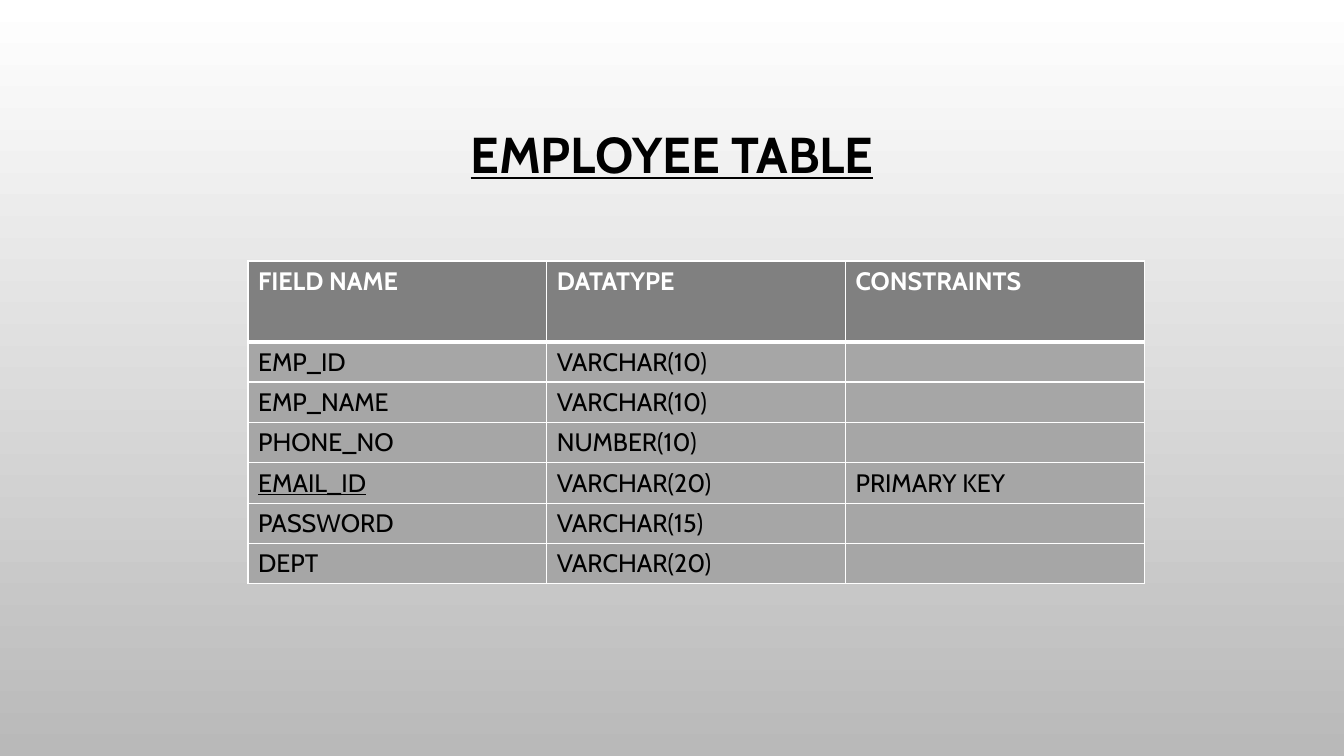
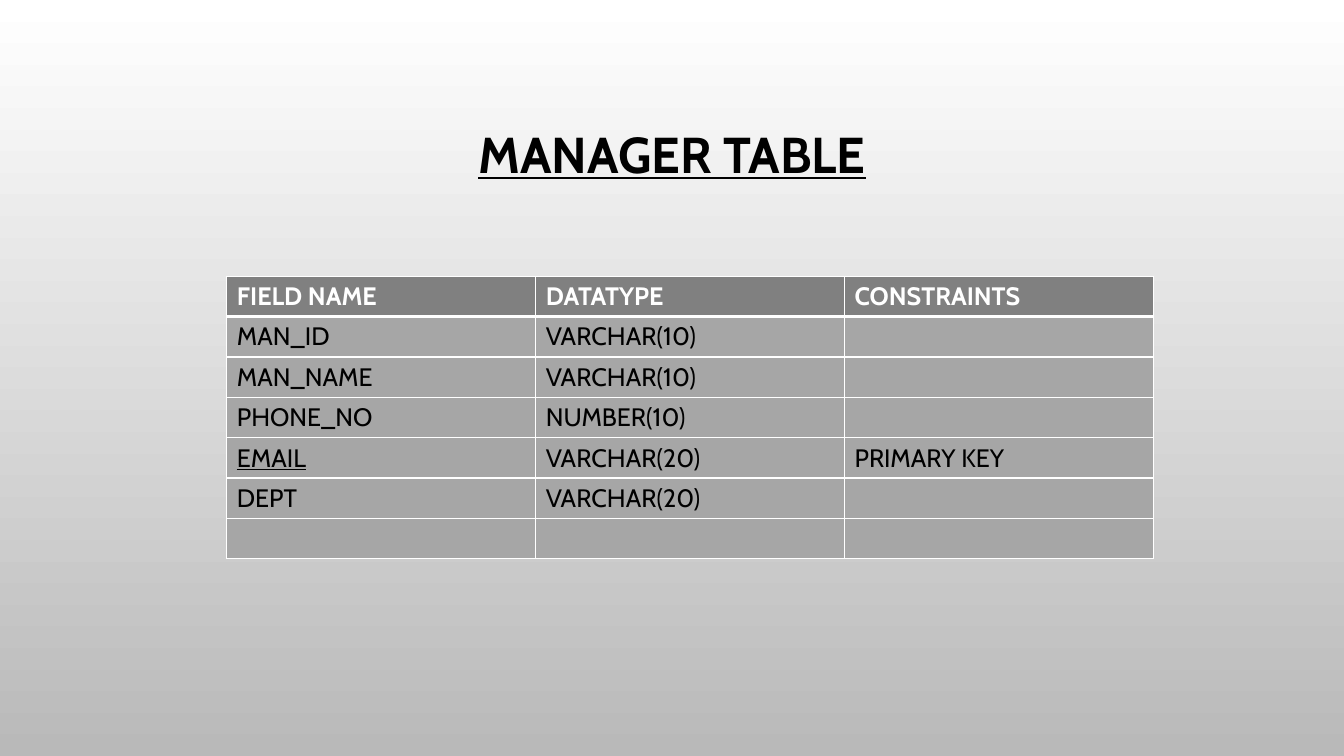
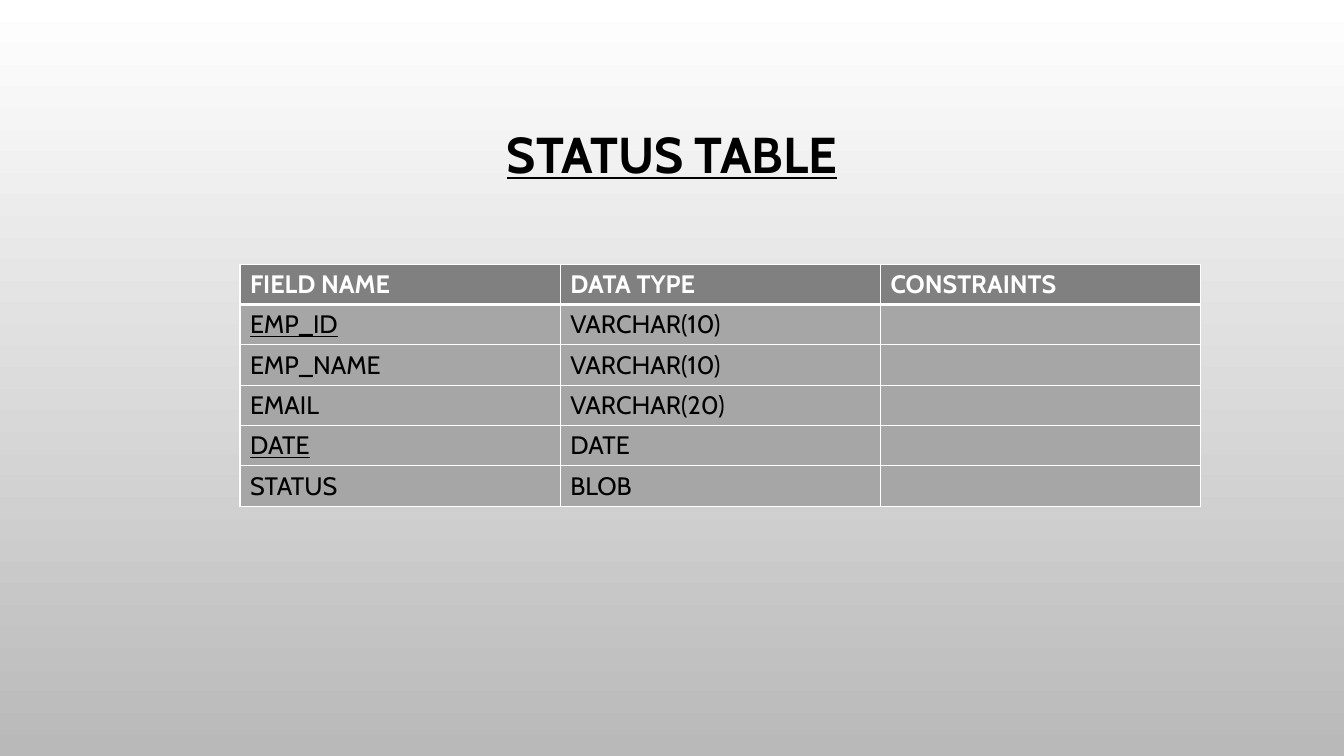
from dataclasses import dataclass

from lxml import etree
from pptx import Presentation
from pptx import util as u
from pptx.dml.color import RGBColor
from pptx.enum import text
from pptx.oxml import ns

SCHEMAS = [
    {
        "title": "EMPLOYEE TABLE",
        "at": (2.46, 2.59),
        "width": 8.89,
        "header_height": 0.8,
        "header": ("FIELD NAME", "DATATYPE", "CONSTRAINTS"),
        "keys": {"EMAIL_ID"},
        "fields": [
            ("EMP_ID", "VARCHAR(10)", ""),
            ("EMP_NAME", "VARCHAR(10)", ""),
            ("PHONE_NO", "NUMBER(10)", ""),
            ("EMAIL_ID", "VARCHAR(20)", "PRIMARY KEY"),
            ("PASSWORD", "VARCHAR(15)", ""),
            ("DEPT", "VARCHAR(20)", ""),
        ],
    },
    {
        "title": "MANAGER TABLE",
        "at": (2.25, 2.74),
        "width": 9.19,
        "header_height": 0.4,
        "header": ("FIELD NAME", "DATATYPE", "CONSTRAINTS"),
        "keys": {"EMAIL"},
        "fields": [
            ("MAN_ID", "VARCHAR(10)", ""),
            ("MAN_NAME", "VARCHAR(10)", ""),
            ("PHONE_NO", "NUMBER(10)", ""),
            ("EMAIL", "VARCHAR(20)", "PRIMARY KEY"),
            ("DEPT", "VARCHAR(20)", ""),
            ("", "", ""),
        ],
    },
    {
        "title": "STATUS TABLE",
        "at": (2.38, 2.62),
        "width": 9.53,
        "header_height": 0.4,
        "header": ("FIELD NAME", "DATA TYPE", "CONSTRAINTS"),
        "keys": {"EMP_ID", "DATE"},
        "fields": [
            ("EMP_ID", "VARCHAR(10)", ""),
            ("EMP_NAME", "VARCHAR(10)", ""),
            ("EMAIL", "VARCHAR(20)", ""),
            ("DATE", "DATE", ""),
            ("STATUS", "BLOB", ""),
        ],
    },
]


@dataclass(frozen=True)
class Theme:
    font: str = "Cabin"
    ink: str = "000000"
    paper: str = "FFFFFF"
    shade: str = "B9B9B9"
    header: str = "808080"
    body: str = "A6A6A6"
    title_size: int = 36
    cell_size: int = 18
    rule: int = 1
    header_rule: int = 3


THEME = Theme()
TITLE_BOX = (1, 0.68, 11.33, 1.75)
ROW_HEIGHT = 0.4
TITLE_FORMAT = {"size": u.Pt(THEME.title_size), "bold": True, "underline": True}


def style_font(font, color, formats):
    font.name = THEME.font
    font.color.rgb = RGBColor.from_string(color)
    for attribute, value in formats.items():
        setattr(font, attribute, value)


def paint_background(master):
    fill = master.background.fill
    fill.gradient()
    fill.gradient_angle = 270
    for stop, color in zip(fill.gradient_stops, (THEME.paper, THEME.shade)):
        stop.color.rgb = RGBColor.from_string(color)


def add_title(slide, wording):
    frame = slide.shapes.add_textbox(*map(u.Inches, TITLE_BOX)).text_frame
    frame.word_wrap = True
    frame.vertical_anchor = text.MSO_ANCHOR.MIDDLE
    paragraph = frame.paragraphs[0]
    paragraph.alignment = text.PP_ALIGN.CENTER
    paragraph.line_spacing = 0.9
    run = paragraph.add_run()
    run.text = wording
    style_font(run.font, THEME.ink, TITLE_FORMAT)


def add_borders(cell, widths):
    properties = cell._tc.get_or_add_tcPr()
    for side in "LRTB":
        width = u.Pt(widths.get(side, THEME.rule))
        line = etree.SubElement(properties, ns.qn(f"a:ln{side}"), w=str(width))
        solid = etree.SubElement(line, ns.qn("a:solidFill"))
        etree.SubElement(solid, ns.qn("a:srgbClr"), val=THEME.paper)


def fill_cell(cell, wording, row, is_key):
    is_header = row == 0
    add_borders(cell, {0: {"B": THEME.header_rule}, 1: {"T": THEME.header_rule}}.get(row, {}))
    cell.fill.solid()
    cell.fill.fore_color.rgb = RGBColor.from_string(THEME.header if is_header else THEME.body)
    paragraph = cell.text_frame.paragraphs[0]
    target = paragraph
    if wording:
        target = paragraph.add_run()
        target.text = wording
    formats = {"size": u.Pt(THEME.cell_size), "bold": is_header, "underline": is_key}
    style_font(target.font, THEME.paper if is_header else THEME.ink, formats)


def add_schema(slide, schema):
    records = [schema["header"], *schema["fields"]]
    heights = [schema["header_height"]] + [ROW_HEIGHT] * len(schema["fields"])
    left, top = schema["at"]
    box = map(u.Inches, (left, top, schema["width"], sum(heights)))
    table = slide.shapes.add_table(len(records), len(schema["header"]), *box).table
    for row, (record, height) in enumerate(zip(records, heights)):
        table.rows[row].height = u.Inches(height)
        for column, wording in enumerate(record):
            is_key = column == 0 and wording in schema["keys"]
            fill_cell(table.cell(row, column), wording, row, is_key)


def main():
    deck = Presentation()
    deck.slide_width, deck.slide_height = u.Inches(13.33), u.Inches(7.5)
    paint_background(deck.slide_master)
    for schema in SCHEMAS:
        slide = deck.slides.add_slide(deck.slide_layouts[6])
        add_title(slide, schema["title"])
        add_schema(slide, schema)
    deck.save("out.pptx")


if __name__ == "__main__":
    main()
